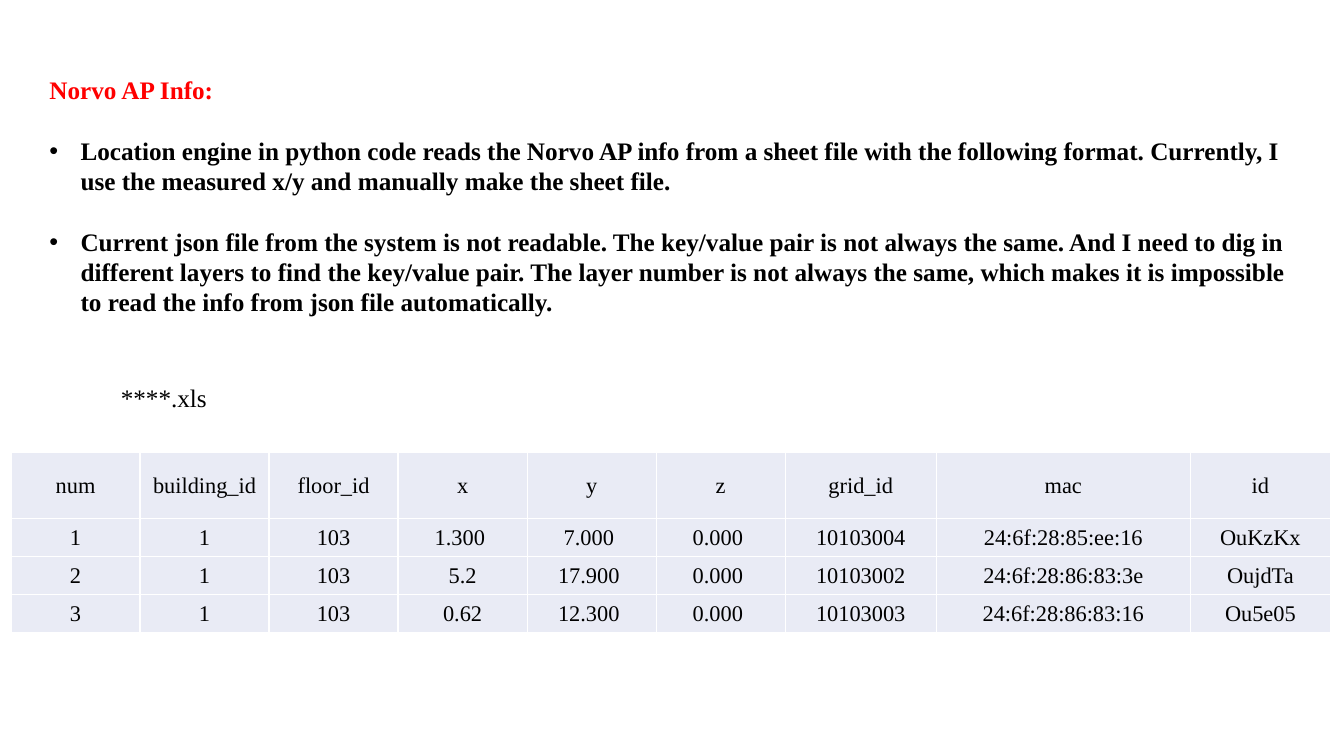
"""Build the access point info slide with its spreadsheet format table."""
import dataclasses

import lxml.etree
import pptx
import pptx.dml.color
import pptx.enum.text
import pptx.oxml.ns
import pptx.util

ANCHOR = pptx.enum.text.MSO_ANCHOR
ALIGN = pptx.enum.text.PP_ALIGN
SLIDE_WIDTH = pptx.util.Inches(13.333)
SLIDE_HEIGHT = pptx.util.Inches(7.5)
FONT_NAME = "Times New Roman"
BLACK, RED, WHITE, PALE_BLUE = "000000", "FF0000", "FFFFFF", "E9EBF5"
BLANK_LINE = pptx.util.Pt(21.6)
BULLET_INDENT = pptx.util.Inches(0.31)


@dataclasses.dataclass(frozen=True)
class Area:
    """Place and size in percent of the slide's width and height."""
    left: float
    top: float
    width: float
    height: float


@dataclasses.dataclass(frozen=True)
class Column:
    """Table column: width in percent of the slide, header and values."""
    width: float
    header: str
    values: tuple[str, ...]


HEADING_AREA = Area(2.93, 9.2, 93.85, 5.33)
NOTES_AREA = Area(2.93, 17.27, 93.85, 29.6)
FILE_AREA = Area(8.25, 49.87, 30.16, 5.33)
TABLE_LEFT, TABLE_TOP = 0.82, 59.87
HEADER_HEIGHT, ROW_HEIGHT = 8.75, 5.03

NOTES = (
    "Location engine in python code reads the Norvo AP info from a sheet file "
    "with the following format. Currently, I use the measured x/y and manually "
    "make the sheet file.",
    "Current json file from the system is not readable. The key/value pair is "
    "not always the same. And I need to dig in different layers to find the "
    "key/value pair. The layer number is not always the same, which makes it is "
    "impossible to read the info from json file automatically.",
)

COLUMNS = (
    Column(9.6, "num", ("1", "2", "3")),
    Column(9.6, "building_id", ("1",) * 3),
    Column(9.6, "floor_id", ("103",) * 3),
    Column(9.6, "x", ("1.300 ", "5.2", "0.62")),
    Column(9.6, "y", ("7.000 ", "17.900 ", "12.300 ")),
    Column(9.6, "z", ("0.000 ",) * 3),
    Column(11.25, "grid_id", ("10103004", "10103002", "10103003")),
    Column(18.9, "mac", ("24:6f:28:85:ee:16", "24:6f:28:86:83:3e", "24:6f:28:86:83:16")),
    Column(10.43, "id", ("OuKzKx", "OujdTa", "Ou5e05")),
)


def across(percent: float) -> int:
    """Turn a share of the slide's width into a length."""
    return round(SLIDE_WIDTH * percent / 100)


def down(percent: float) -> int:
    """Turn a share of the slide's height into a length."""
    return round(SLIDE_HEIGHT * percent / 100)


def color(value: str) -> pptx.dml.color.RGBColor:
    """Turn a hex string into a colour."""
    return pptx.dml.color.RGBColor.from_string(value)


def apply(target: object, formats: dict) -> None:
    """Set every attribute named in the format values."""
    for attribute, value in formats.items():
        setattr(target, attribute, value)


def box(area: Area) -> dict[str, int]:
    """Return the area as lengths."""
    return {"left": across(area.left), "top": down(area.top),
            "width": across(area.width), "height": down(area.height)}


def style_font(paragraph, size: int, hex_color: str, bold: bool = False) -> None:
    """Set the font of a paragraph."""
    apply(paragraph.font, {"name": FONT_NAME, "size": pptx.util.Pt(size), "bold": bold})
    paragraph.font.color.rgb = color(hex_color)


def add_bullet(paragraph) -> None:
    """Give a paragraph a round bullet with a hanging indent."""
    properties = paragraph._p.get_or_add_pPr()
    properties.set("marL", str(BULLET_INDENT))
    properties.set("indent", str(-BULLET_INDENT))
    for tag, attribute, value in (("a:buFont", "typeface", "Arial"), ("a:buChar", "char", "•")):
        lxml.etree.SubElement(properties, pptx.oxml.ns.qn(tag)).set(attribute, value)


def add_borders(cell) -> None:
    """Draw thin white lines on the four sides of a cell."""
    properties = cell._tc.get_or_add_tcPr()
    for position, side in enumerate(("a:lnL", "a:lnR", "a:lnT", "a:lnB")):
        line = lxml.etree.Element(pptx.oxml.ns.qn(side), w=str(pptx.util.Pt(1)))
        fill = lxml.etree.SubElement(line, pptx.oxml.ns.qn("a:solidFill"))
        lxml.etree.SubElement(fill, pptx.oxml.ns.qn("a:srgbClr"), val=WHITE)
        properties.insert(position, line)


def add_heading(slide) -> None:
    """Place the heading in the title placeholder."""
    heading = slide.shapes.title
    apply(heading, box(HEADING_AREA))
    frame = heading.text_frame
    frame.text = "Norvo AP Info:"
    apply(frame, {"vertical_anchor": ANCHOR.TOP, "word_wrap": True,
                  "auto_size": pptx.enum.text.MSO_AUTO_SIZE.NONE})
    frame.paragraphs[0].alignment = ALIGN.LEFT
    style_font(frame.paragraphs[0], 18, RED, bold=True)


def add_text(slide, area: Area, lines: tuple[str, ...], bulleted: bool = False) -> None:
    """Add a text box, with bold bullets where asked."""
    frame = slide.shapes.add_textbox(**box(area)).text_frame
    frame.word_wrap = True
    for position, line in enumerate(lines):
        paragraph = frame.add_paragraph() if position else frame.paragraphs[0]
        paragraph.text = line
        if position:
            paragraph.space_before = BLANK_LINE
        if bulleted:
            add_bullet(paragraph)
        style_font(paragraph, 18, BLACK, bold=bulleted)


def fill_cell(cell, text: str) -> None:
    """Write and format one table cell."""
    cell.text = text
    inset = pptx.util.Inches(0.01)
    apply(cell, {"vertical_anchor": ANCHOR.MIDDLE, "margin_left": inset,
                 "margin_right": inset, "margin_top": inset, "margin_bottom": 0})
    cell.fill.solid()
    cell.fill.fore_color.rgb = color(PALE_BLUE)
    add_borders(cell)
    paragraph = cell.text_frame.paragraphs[0]
    paragraph.alignment = ALIGN.CENTER
    style_font(paragraph, 16, BLACK)


def add_access_points(slide) -> None:
    """Add the table of access points."""
    heights = [HEADER_HEIGHT] + [ROW_HEIGHT] * len(COLUMNS[0].values)
    area = Area(TABLE_LEFT, TABLE_TOP, sum(column.width for column in COLUMNS), sum(heights))
    table = slide.shapes.add_table(len(heights), len(COLUMNS), **box(area)).table
    apply(table, {"first_row": False, "horz_banding": False})
    for row, height in zip(table.rows, heights):
        row.height = down(height)
    for column_index, column in enumerate(COLUMNS):
        table.columns[column_index].width = across(column.width)
        for row_index, text in enumerate((column.header, *column.values)):
            fill_cell(table.cell(row_index, column_index), text)


def main() -> None:
    """Build and save the slide."""
    presentation = pptx.Presentation()
    apply(presentation, {"slide_width": SLIDE_WIDTH, "slide_height": SLIDE_HEIGHT})
    slide = presentation.slides.add_slide(presentation.slide_layouts[5])
    add_heading(slide)
    add_text(slide, NOTES_AREA, NOTES, bulleted=True)
    add_text(slide, FILE_AREA, ("****.xls",))
    add_access_points(slide)
    presentation.save("out.pptx")


if __name__ == "__main__":
    main()
